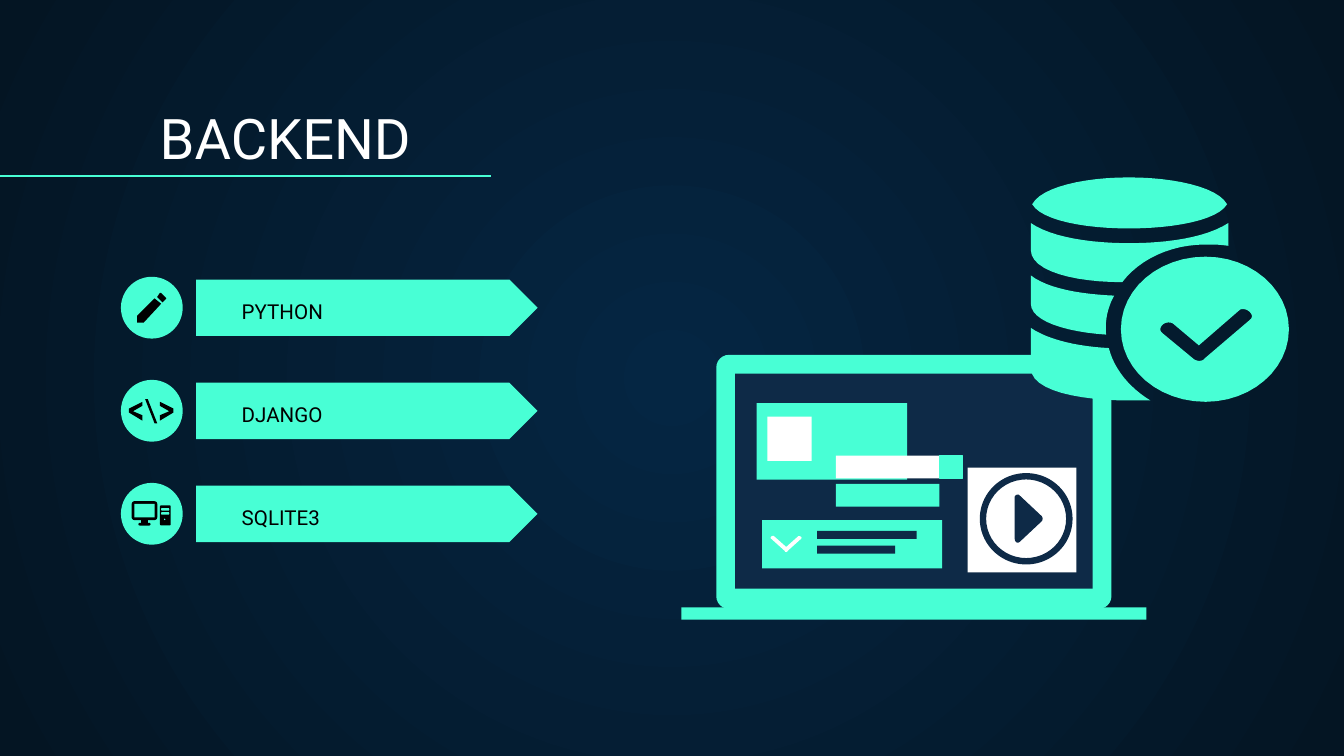
from lxml import etree
from pptx import Presentation
from pptx.dml.color import RGBColor
from pptx.enum import shapes, text
from pptx.oxml.ns import qn
from pptx.util import Inches, Pt

AQUA = RGBColor(0x48, 0xFF, 0xD5)
NAVY = RGBColor(0x0E, 0x2A, 0x47)
CENTER = RGBColor(0x05, 0x26, 0x43)
EDGE = RGBColor(0x04, 0x15, 0x23)
WHITE = RGBColor(0xFF, 0xFF, 0xFF)
BLACK = RGBColor(0, 0, 0)
KIND = shapes.MSO_SHAPE
CURVE_STEPS = 12


def flatten(contour):
    points = [contour[0]]
    for step in contour[1:]:
        if len(step) == 2:
            points.append(step)
            continue
        start = points[-1]
        corners = [start, step[:2], step[2:4], step[4:]]
        for index in range(1, CURVE_STEPS + 1):
            t = index / CURVE_STEPS
            weights = ((1 - t) ** 3, 3 * t * (1 - t) ** 2, 3 * t * t * (1 - t), t ** 3)
            points.append(tuple(
                sum(weight * corner[axis] for weight, corner in zip(weights, corners))
                for axis in (0, 1)))
    return [(Inches(x), Inches(y)) for x, y in points]


class Canvas:
    font = "Roboto"

    def __init__(self, slide):
        self.slide = slide

    def background(self, inner, outer):
        fill = self.slide.background.fill
        fill.gradient()
        for stop, color in zip(fill.gradient_stops, (inner, outer)):
            stop.color.rgb = color
        gradient = self.slide.element.find(".//" + qn("a:gradFill"))
        gradient.remove(gradient.find(qn("a:lin")))
        circle = etree.SubElement(gradient, qn("a:path"), {"path": "circle"})
        etree.SubElement(circle, qn("a:fillToRect"), dict.fromkeys("ltrb", "50000"))

    def paint(self, shape, color):
        shape.fill.solid()
        shape.fill.fore_color.rgb = color
        shape.line.fill.background()
        shape.shadow.inherit = False
        return shape

    def preset(self, kind, left, top, width, height, color, adjust=None):
        shape = self.slide.shapes.add_shape(
            kind, Inches(left), Inches(top), Inches(width), Inches(height))
        if adjust is not None:
            shape.adjustments[0] = adjust
        return self.paint(shape, color)

    def block(self, left, top, width, height, color):
        return self.preset(KIND.RECTANGLE, left, top, width, height, color)

    def outline(self, color, *contours):
        first, *others = [flatten(contour) for contour in contours]
        builder = self.slide.shapes.build_freeform(*first[0], scale=1.0)
        builder.add_line_segments(first[1:], close=True)
        for points in others:
            builder.move_to(*points[0])
            builder.add_line_segments(points[1:], close=True)
        return self.paint(builder.convert_to_shape(), color)

    def label(self, words, left, top, width, height, size, color):
        box = self.slide.shapes.add_textbox(
            Inches(left), Inches(top), Inches(width), Inches(height))
        frame = box.text_frame
        frame.word_wrap = True
        frame.vertical_anchor = text.MSO_ANCHOR.BOTTOM
        frame.margin_left = frame.margin_right = Inches(0.1)
        frame.margin_top = frame.margin_bottom = Inches(0.1)
        frame.text = words
        font = frame.paragraphs[0].runs[0].font
        font.name, font.size, font.color.rgb = self.font, Pt(size), color

    def rule(self, left, right, y, color):
        line = self.slide.shapes.add_connector(
            shapes.MSO_CONNECTOR.STRAIGHT, Inches(left), Inches(y), Inches(right), Inches(y))
        line.line.color.rgb = color
        line.line.width = Pt(0.75)
        etree.SubElement(line.element.spPr, qn("a:effectLst"))


def draw_list(canvas):
    for row, name in enumerate(("PYTHON", "DJANGO", "SQLITE3")):
        top = 2.08 + row * 2.3 / 3
        canvas.preset(KIND.PENTAGON, 1.46, top, 2.54, 0.42, AQUA, 0.5)
        canvas.preset(KIND.OVAL, 0.9, top - 0.02, 0.46, 0.46, AQUA)
        canvas.label(name, 1.7, top + 0.21, 2.27, 0.21, 11, BLACK)


def draw_icons(canvas):
    canvas.outline(
        BLACK,
        [(1.2, 2.18), (1.19, 2.18), (1.17, 2.21), (1.21, 2.25), (1.23, 2.23),
         (1.24, 2.22, 1.24, 2.22, 1.23, 2.21)],
        [(1.15, 2.22), (1.02, 2.35), (1.02, 2.4), (1.07, 2.4), (1.2, 2.26)])

    bracket = [(1.06, 3.13), (0.96, 3.07), (0.96, 3.04), (1.06, 2.99),
               (1.06, 3.02), (0.99, 3.06), (1.06, 3.09)]
    canvas.outline(BLACK, bracket)
    canvas.outline(BLACK, [(1.15, 3.15), (1.08, 2.97), (1.1, 2.97), (1.17, 3.15)])
    canvas.outline(BLACK, [(2.25 - x, y) for x, y in bracket])

    canvas.preset(KIND.ROUNDED_RECTANGLE, 0.98, 3.73, 0.19, 0.14, BLACK, 0.14)
    canvas.block(1, 3.75, 0.15, 0.1, AQUA)
    canvas.block(1.05, 3.87, 0.05, 0.03, BLACK)
    canvas.preset(KIND.ROUNDED_RECTANGLE, 1.03, 3.89, 0.09, 0.02, BLACK, 0.5)
    canvas.preset(KIND.ROUNDED_RECTANGLE, 1.19, 3.76, 0.08, 0.15, BLACK, 0.12)
    for top in (3.78, 3.81):
        canvas.preset(KIND.ROUNDED_RECTANGLE, 1.2, top, 0.06, 0.02, AQUA, 0.3)
    canvas.preset(KIND.OVAL, 1.22, 3.86, 0.01, 0.01, AQUA)


def draw_laptop(canvas):
    canvas.preset(KIND.ROUNDED_RECTANGLE, 5.33, 2.64, 2.94, 1.89, AQUA, 0.05)
    canvas.block(5.47, 2.78, 2.66, 1.6, NAVY)
    canvas.block(5.07, 4.52, 3.46, 0.09, AQUA)
    canvas.block(5.63, 3, 1.12, 0.57, AQUA)
    canvas.block(5.71, 3.1, 0.33, 0.33, WHITE)
    canvas.block(5.67, 3.87, 1.34, 0.36, AQUA)
    canvas.block(6.08, 3.95, 0.74, 0.06, NAVY)
    canvas.block(6.08, 4.06, 0.58, 0.06, NAVY)
    canvas.outline(WHITE, [
        (5.95, 3.99), (5.94, 3.99), (5.85, 4.07), (5.76, 3.99),
        (5.75, 3.98, 5.72, 4, 5.74, 4.01), (5.84, 4.1),
        (5.84, 4.11, 5.86, 4.11, 5.86, 4.1), (5.96, 4.01),
        (5.97, 4, 5.96, 3.99, 5.95, 3.99)])
    canvas.block(6.22, 3.6, 0.77, 0.17, AQUA)
    canvas.block(6.22, 3.39, 0.77, 0.17, WHITE)
    square = canvas.block(6.99, 3.39, 0.17, 0.17, AQUA)
    square.line.color.rgb = AQUA
    square.line.width = Pt(0.75)
    canvas.block(7.2, 3.48, 0.81, 0.78, WHITE)
    canvas.preset(KIND.DONUT, 7.29, 3.52, 0.69, 0.68, NAVY, 0.07)
    canvas.outline(NAVY, [
        (7.58, 3.68), (7.56, 3.68, 7.55, 3.69, 7.55, 3.7), (7.55, 4.01),
        (7.55, 4.03, 7.57, 4.05, 7.59, 4.03), (7.75, 3.88),
        (7.76, 3.87, 7.76, 3.85, 7.75, 3.84), (7.59, 3.69), (7.58, 3.68)])


def draw_database(canvas):
    canvas.outline(AQUA, [
        (8.4, 1.32), (8.07, 1.32, 7.75, 1.39, 7.68, 1.52),
        (7.75, 1.64, 8.07, 1.7, 8.4, 1.7), (8.73, 1.7, 9.06, 1.64, 9.13, 1.52),
        (9.06, 1.39, 8.73, 1.32, 8.4, 1.32)])
    canvas.outline(AQUA, [
        (7.67, 1.66), (7.67, 1.86), (7.67, 2.02, 8, 2.1, 8.35, 2.1),
        (8.48, 1.93, 8.71, 1.82, 8.97, 1.82), (9.03, 1.82, 9.08, 1.82, 9.14, 1.83),
        (9.14, 1.66), (8.97, 1.77, 8.68, 1.81, 8.4, 1.81),
        (8.13, 1.81, 7.83, 1.77, 7.67, 1.66)])
    canvas.outline(
        AQUA,
        [(9.25, 2.3), (9.29, 2.3, 9.34, 2.35, 9.3, 2.38), (8.96, 2.67),
         (8.95, 2.69, 8.9, 2.69, 8.88, 2.67), (8.65, 2.48),
         (8.61, 2.45, 8.65, 2.4, 8.69, 2.4), (8.7, 2.4, 8.72, 2.4, 8.73, 2.41),
         (8.92, 2.57), (9.22, 2.31), (9.23, 2.3, 9.24, 2.3, 9.25, 2.3)],
        [(8.97, 1.91), (8.62, 1.91, 8.34, 2.15, 8.34, 2.45),
         (8.34, 2.75, 8.62, 2.99, 8.97, 2.99), (9.31, 2.99, 9.59, 2.75, 9.59, 2.45),
         (9.59, 2.15, 9.31, 1.91, 8.97, 1.91)])
    canvas.outline(AQUA, [
        (7.67, 2.05), (7.67, 2.26), (7.67, 2.39, 7.93, 2.47, 8.23, 2.49),
        (8.22, 2.39, 8.24, 2.29, 8.29, 2.2), (8.05, 2.19, 7.8, 2.15, 7.67, 2.05)])
    canvas.outline(AQUA, [
        (7.67, 2.44), (7.67, 2.74), (7.67, 2.91, 8.04, 2.98, 8.4, 2.98), (8.56, 2.98),
        (8.41, 2.89, 8.29, 2.75, 8.25, 2.59), (8.03, 2.58, 7.8, 2.53, 7.67, 2.44)])


def main():
    deck = Presentation()
    deck.slide_width = Inches(10)
    deck.slide_height = deck.slide_width * 9 // 16
    canvas = Canvas(deck.slides.add_slide(deck.slide_layouts[6]))
    canvas.background(CENTER, EDGE)
    canvas.label("BACKEND", 1.09, 0.71, 8.57, 0.66, 30, WHITE)
    canvas.rule(0, 3.65, 1.31, AQUA)
    draw_list(canvas)
    draw_icons(canvas)
    draw_laptop(canvas)
    draw_database(canvas)
    deck.save("out.pptx")


if __name__ == "__main__":
    main()
